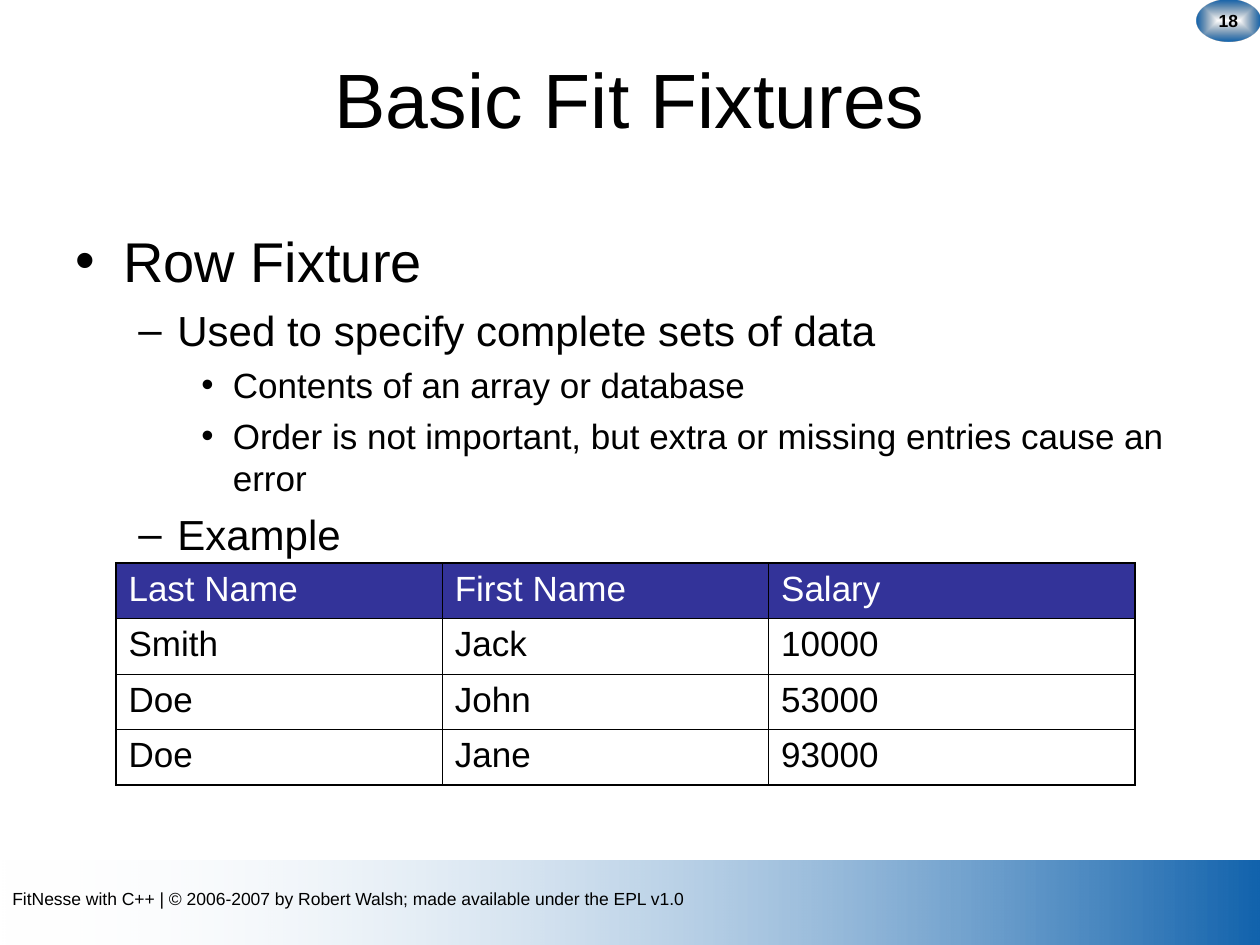
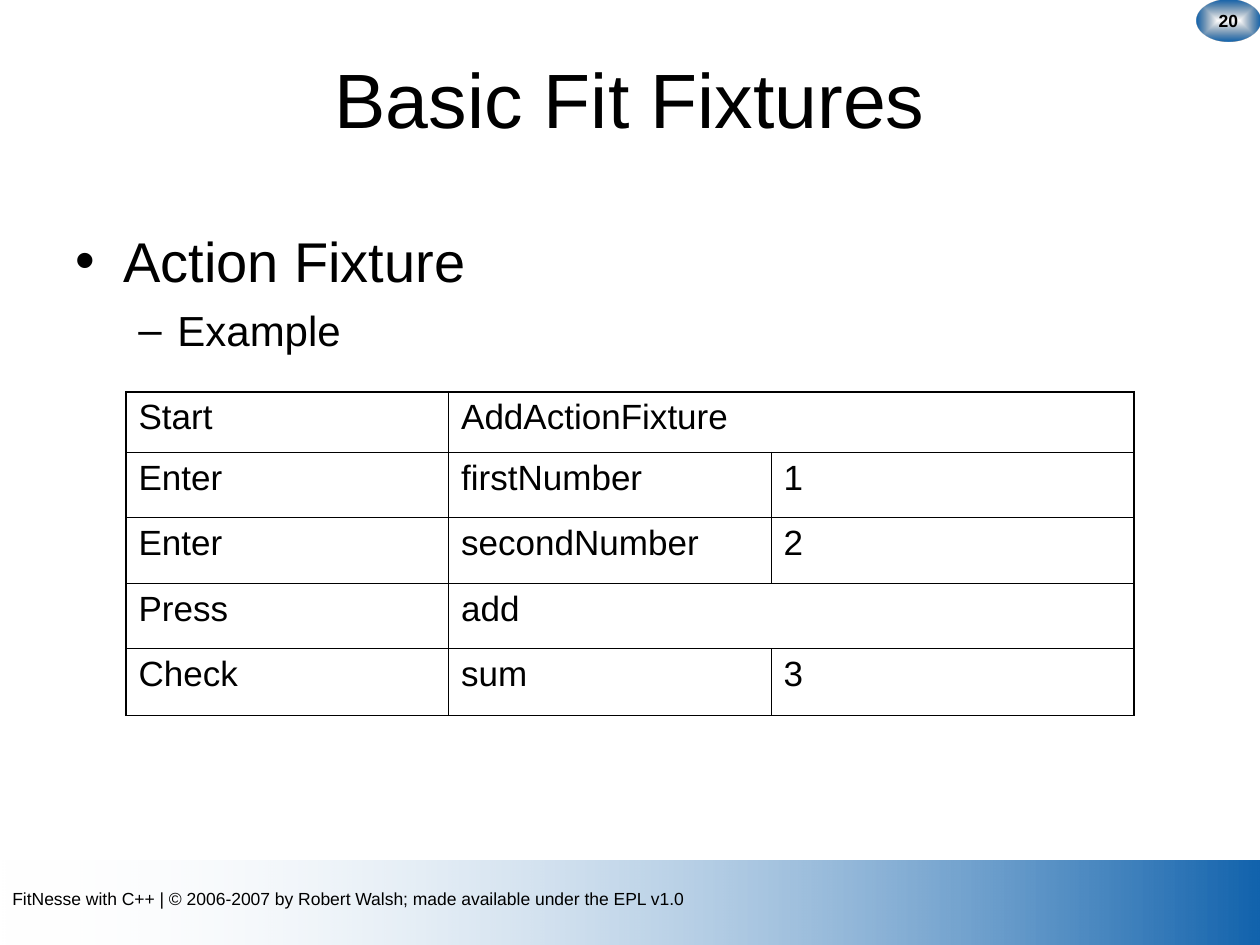
import pptx
import pptx.util
import pptx.dml.color
import pptx.enum.shapes
import pptx.enum.text
import pptx.oxml
import pptx.oxml.ns
from lxml import etree

Inches = pptx.util.Inches
Pt = pptx.util.Pt
RGBColor = pptx.dml.color.RGBColor
Align = pptx.enum.text.PP_ALIGN
Anchor = pptx.enum.text.MSO_ANCHOR
Shape = pptx.enum.shapes.MSO_SHAPE
qn = pptx.oxml.ns.qn

BLACK = RGBColor(0x00, 0x00, 0x00)
WHITE = RGBColor(0xFF, 0xFF, 0xFF)
OFF_WHITE = RGBColor(0xFE, 0xFE, 0xFE)
BLUE = RGBColor(0x12, 0x63, 0xAD)
NAVY = RGBColor(0x08, 0x2D, 0x4F)
INDIGO = RGBColor(0x33, 0x33, 0x99)

FONT = "Arial"
TITLE = "Basic Fit Fixtures"
FOOTER = "FitNesse with C++ | © 2006-2007 by Robert Walsh; made available under the EPL v1.0"
# Per outline level: bullet, text size, space before, left margin, hanging indent
LEVELS = [("•", 32, 8, 0.38, 0.38), ("–", 24, 6, 0.81, 0.31), ("•", 20, 5, 1.25, 0.25)]
OUTER_LINE, INNER_LINE = Pt(1.08), Pt(0.45)
LINEAR = '<a:lin ang="10800000" scaled="0"/>'
FROM_CENTRE = ('<a:path path="rect"><a:fillToRect l="50000" t="50000" '
               'r="50000" b="50000"/></a:path>')


class Deck:
    """Holds the shared style and the slide being built."""

    def __init__(self):
        self.presentation = pptx.Presentation()
        self.presentation.slide_width = Inches(10)
        self.presentation.slide_height = Inches(7.5)
        self.slide = None

    def start_slide(self, number):
        self.slide = self.presentation.slides.add_slide(self.presentation.slide_layouts[6])
        self.gradient_shape(Shape.RECTANGLE, (0, 6.83, 10, 0.67),
                            [(BLUE, 100), (OFF_WHITE, 0)], LINEAR)
        footer = self.text_frame(0, 7, 9, 0.27)
        self.add_text(footer.paragraphs[0], FOOTER, 10)
        badge = self.gradient_shape(Shape.OVAL, (9.5, 0, 0.5, 0.33),
                                    [(NAVY, 0), (BLUE, 100)], FROM_CENTRE).text_frame
        badge.word_wrap = False
        badge.vertical_anchor = Anchor.MIDDLE
        self.add_text(badge.paragraphs[0], str(number), 10, bold=True, align=Align.CENTER)
        title = self.text_frame(0.5, 0.3, 9, 0.95)
        title.vertical_anchor = Anchor.MIDDLE
        self.add_text(title.paragraphs[0], TITLE, 44, align=Align.CENTER)

    def gradient_shape(self, kind, box, stops, direction):
        """Stops are (colour, opacity in percent), spread evenly from first to last."""
        shape = self.slide.shapes.add_shape(kind, *map(Inches, box))
        shape.shadow.inherit = False
        shape.line.fill.background()
        stop_xml = "".join(
            f'<a:gs pos="{100000 * i // (len(stops) - 1)}"><a:srgbClr val="{colour}">'
            f'<a:alpha val="{opacity * 1000}"/></a:srgbClr></a:gs>'
            for i, (colour, opacity) in enumerate(stops))
        gradient = pptx.oxml.parse_xml(
            f'<a:gradFill {pptx.oxml.ns.nsdecls("a")} rotWithShape="1">'
            f'<a:gsLst>{stop_xml}</a:gsLst>{direction}</a:gradFill>')
        shape.element.spPr.find(qn("a:prstGeom")).addnext(gradient)
        return shape

    def text_frame(self, left, top, width, height):
        box = self.slide.shapes.add_textbox(*map(Inches, (left, top, width, height)))
        box.text_frame.word_wrap = True
        return box.text_frame

    def add_text(self, paragraph, text, size, colour=BLACK, bold=False, align=Align.LEFT):
        paragraph.alignment = align
        run = paragraph.add_run()
        run.text = text
        run.font.name = FONT
        run.font.size = Pt(size)
        run.font.bold = bold
        run.font.color.rgb = colour

    def outline(self, width, items):
        """Items are (level, text)."""
        frame = self.text_frame(0.5, 1.75, width, 4.75)
        for i, (level, text) in enumerate(items):
            bullet, size, space, margin, hanging = LEVELS[level]
            paragraph = frame.add_paragraph() if i else frame.paragraphs[0]
            properties = paragraph._p.get_or_add_pPr()
            properties.set("marL", str(Inches(margin)))
            properties.set("indent", str(-Inches(hanging)))
            bullet_colour = etree.SubElement(properties, qn("a:buClr"))
            etree.SubElement(bullet_colour, qn("a:srgbClr"), val=str(BLACK))
            etree.SubElement(properties, qn("a:buFont"), typeface=FONT)
            etree.SubElement(properties, qn("a:buChar"), char=bullet)
            paragraph.level = level
            if i:
                paragraph.space_before = Pt(space)
            self.add_text(paragraph, text, size)

    def table(self, left, top, widths, heights, rows, header=False):
        """A None cell is joined to the cell on its left."""
        grid = self.slide.shapes.add_table(
            len(rows), len(widths), Inches(left), Inches(top),
            Inches(sum(widths)), Inches(sum(heights))).table
        grid.first_row = grid.horz_banding = False
        for column, width in zip(grid.columns, widths):
            column.width = Inches(width)
        for row, height in zip(grid.rows, heights):
            row.height = Inches(height)
        last_row, last_column = len(rows) - 1, len(widths) - 1
        for r, texts in enumerate(rows):
            for c, text in enumerate(texts):
                cell = grid.cell(r, c)
                joined = c < last_column and texts[c + 1] is None
                self.cell_borders(cell, L=c == 0, R=joined or c == last_column,
                                  T=r == 0, B=r == last_row)
                in_header = header and r == 0
                if in_header:
                    cell.fill.solid()
                    cell.fill.fore_color.rgb = INDIGO
                else:
                    cell.fill.background()
                if text is None:
                    grid.cell(r, c - 1).merge(cell)
                else:
                    self.add_text(cell.text_frame.paragraphs[0], text, 20,
                                  WHITE if in_header else BLACK)

    def cell_borders(self, cell, **outer_sides):
        properties = cell._tc.get_or_add_tcPr()
        for side, is_outer in outer_sides.items():
            line = etree.SubElement(properties, qn(f"a:ln{side}"),
                                    w=str(OUTER_LINE if is_outer else INNER_LINE))
            fill = etree.SubElement(line, qn("a:solidFill"))
            etree.SubElement(fill, qn("a:srgbClr"), val=str(BLACK))


def main():
    deck = Deck()

    deck.start_slide(18)
    deck.outline(9, [
        (0, "Row Fixture"),
        (1, "Used to specify complete sets of data"),
        (2, "Contents of an array or database"),
        (2, "Order is not important, but extra or missing entries cause an error"),
        (1, "Example"),
    ])
    deck.table(0.92, 4.47, [2.59, 2.59, 2.91], [0.44] * 4, [
        ["Last Name", "First Name", "Salary"],
        ["Smith", "Jack", "10000"],
        ["Doe", "John", "53000"],
        ["Doe", "Jane", "93000"],
    ], header=True)

    deck.start_slide(20)
    deck.outline(4.42, [(0, "Action Fixture"), (1, "Example")])
    deck.table(1, 3.11, [2.56, 2.56, 2.88], [0.48] + [0.52] * 3 + [0.53], [
        ["Start", "AddActionFixture", None],
        ["Enter", "firstNumber", "1"],
        ["Enter", "secondNumber", "2"],
        ["Press", "add", None],
        ["Check", "sum", "3"],
    ])

    deck.presentation.save("out.pptx")


if __name__ == "__main__":
    main()
